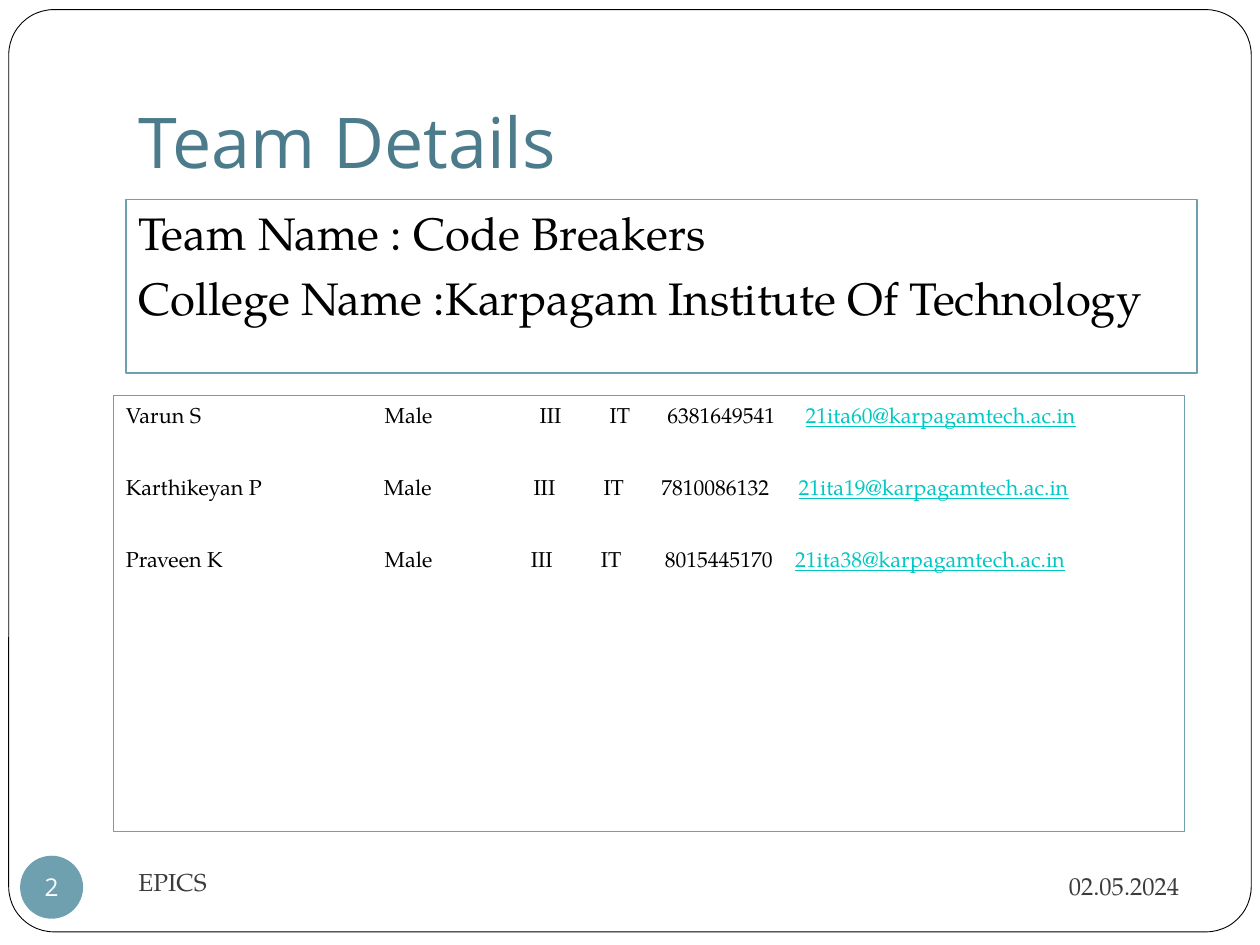
"""Build the team details slide."""
from lxml import etree
from pptx import Presentation
from pptx.dml.color import RGBColor
from pptx.enum.shapes import MSO_SHAPE
from pptx.enum.text import MSO_ANCHOR, PP_ALIGN
from pptx.oxml.ns import qn
from pptx.util import Pt

ROUNDED, RECTANGLE, OVAL = MSO_SHAPE.ROUNDED_RECTANGLE, MSO_SHAPE.RECTANGLE, MSO_SHAPE.OVAL
TOP, MIDDLE, BOTTOM = MSO_ANCHOR.TOP, MSO_ANCHOR.MIDDLE, MSO_ANCHOR.BOTTOM
LEFT, CENTER, RIGHT = PP_ALIGN.LEFT, PP_ALIGN.CENTER, PP_ALIGN.RIGHT
SANS, SERIF = "Open Sans", "TeX Gyre Pagella"
BLACK, WHITE, TEAL, GRAY, LINK = "000000", "FFFFFF", "6EA0B0", "3B3B3B", "00C8C3"


def color(value):
    return RGBColor.from_string(value)


def add_box(kind, place, lines=(), font=SERIF, size=14, ink=BLACK, fill=None,
            line=None, line_width=0.75, anchor=TOP, align=LEFT):
    place = [Pt(length) for length in place]
    if kind is None:
        box = page.shapes.add_textbox(*place)
    else:
        box = page.shapes.add_shape(kind, *place)
        box.shadow.inherit = False
    if fill:
        box.fill.solid()
        box.fill.fore_color.rgb = color(fill)
    else:
        box.fill.background()
    if line:
        box.line.color.rgb = color(line)
        box.line.width = Pt(line_width)
    else:
        box.line.fill.background()
    frame = box.text_frame
    frame.word_wrap = True
    frame.vertical_anchor = anchor
    for index, text in enumerate(lines):
        para = frame.paragraphs[0] if index == 0 else frame.add_paragraph()
        para.alignment = align
        para.font.name = font
        para.font.size = Pt(size)
        para.font.color.rgb = color(ink)
        para.add_run().text = text
    return box


deck = Presentation()
deck.slide_width, deck.slide_height = Pt(720), Pt(540)
page = deck.slides.add_slide(deck.slide_layouts[6])

border = add_box(ROUNDED, (5, 5.5, 710, 527), fill=WHITE, line=BLACK, line_width=0.5)
border.adjustments[0] = 0.049

title = add_box(None, (72, 21.6, 612, 90), ["Team Details"], SANS, 40, "4C7C8B", anchor=BOTTOM)
title.text_frame.margin_bottom = Pt(7.2)

team = add_box(RECTANGLE, (72, 113.8, 612, 99.4),
               ["Team Name : Code Breakers", "College Name :Karpagam Institute Of Technology"],
               size=26, line=TEAL)
for para in team.text_frame.paragraphs:
    para.space_before = Pt(5.8)

members = [
    (("Varun S", "Male", "III", "IT", "6381649541"), "21ita60@karpagamtech.ac.in",
     (148, 236.5, 276.5, 309.5, 388.5)),
    (("Karthikeyan P", "Male", "III", "IT", "7810086132"), "21ita19@karpagamtech.ac.in",
     (147.5, 233, 273, 306, 384.5)),
    (("Praveen K", "Male", "III", "IT", "8015445170"), "21ita38@karpagamtech.ac.in",
     (148, 231.5, 271.5, 308, 382.5)),
]
roster = add_box(RECTANGLE, (64.8, 226.1, 612, 249.1),
                 ["\t".join(details) + "\t" for details, mail, stops in members],
                 size=12.3, line=TEAL)
for para, (details, mail, stops) in zip(roster.text_frame.paragraphs, members):
    para.space_after = Pt(26.35)
    span = para.add_run()
    span.text = mail
    span.font.color.rgb = color(LINK)
    span.font.underline = True
    properties = para._p.get_or_add_pPr()
    tabs = etree.Element(qn("a:tabLst"))
    for stop in stops:
        etree.SubElement(tabs, qn("a:tab"), pos=str(Pt(stop)), algn="l")
    properties.find(qn("a:defRPr")).addprevious(tabs)

add_box(None, (486, 487.4, 195, 37.4), ["02.05.2024"], ink=GRAY, anchor=MIDDLE, align=RIGHT)
add_box(None, (72, 486, 312, 36), ["EPICS"], ink=GRAY, anchor=MIDDLE)

badge = add_box(OVAL, (11.5, 489, 36, 36), ["2"], SANS, 14, WHITE, fill=TEAL,
                anchor=MIDDLE, align=CENTER)
frame = badge.text_frame
frame.word_wrap = False
frame.margin_left = frame.margin_right = frame.margin_top = frame.margin_bottom = 0

deck.save("out.pptx")
